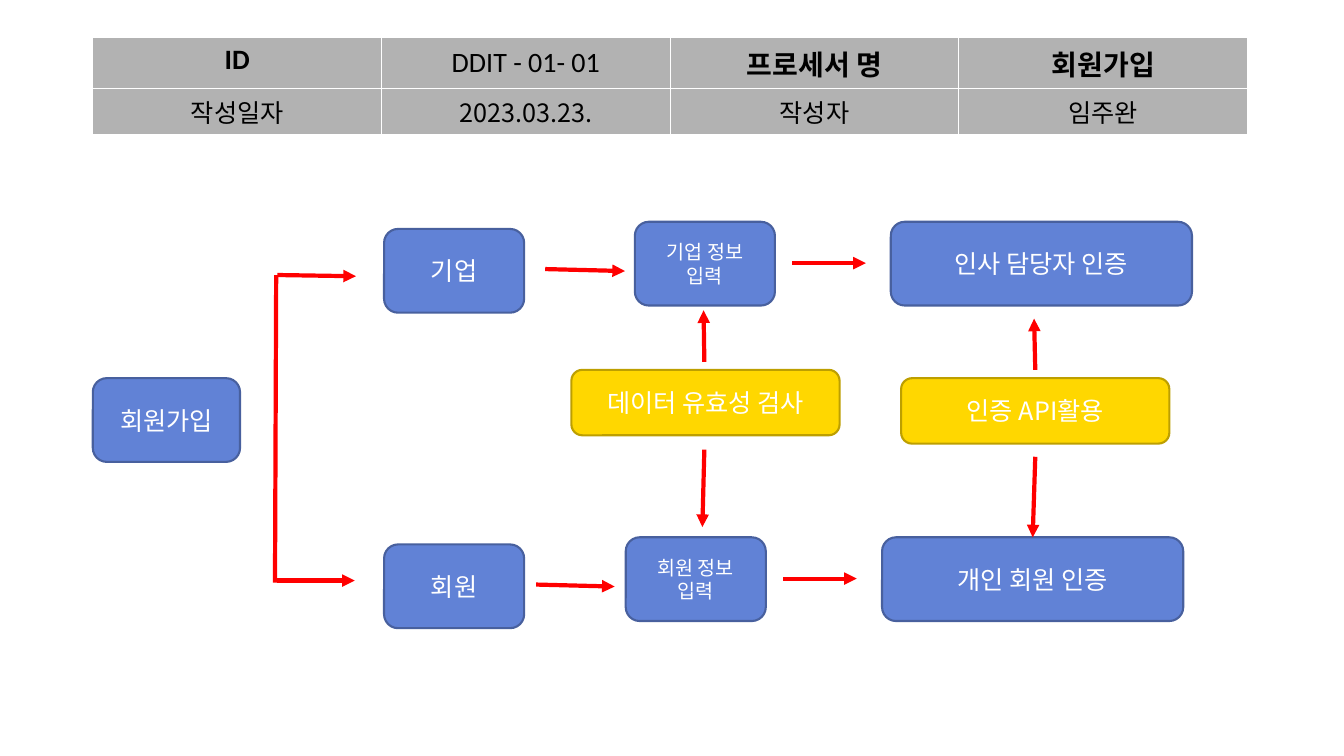
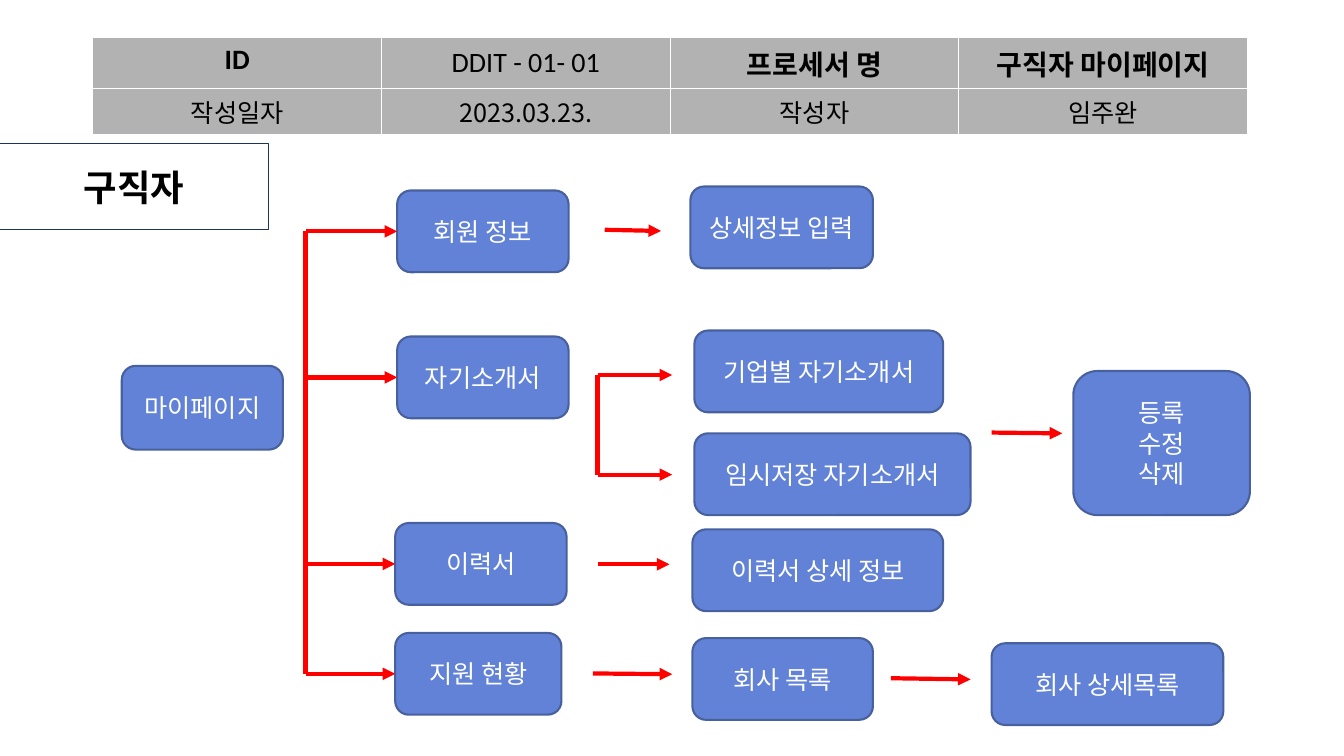
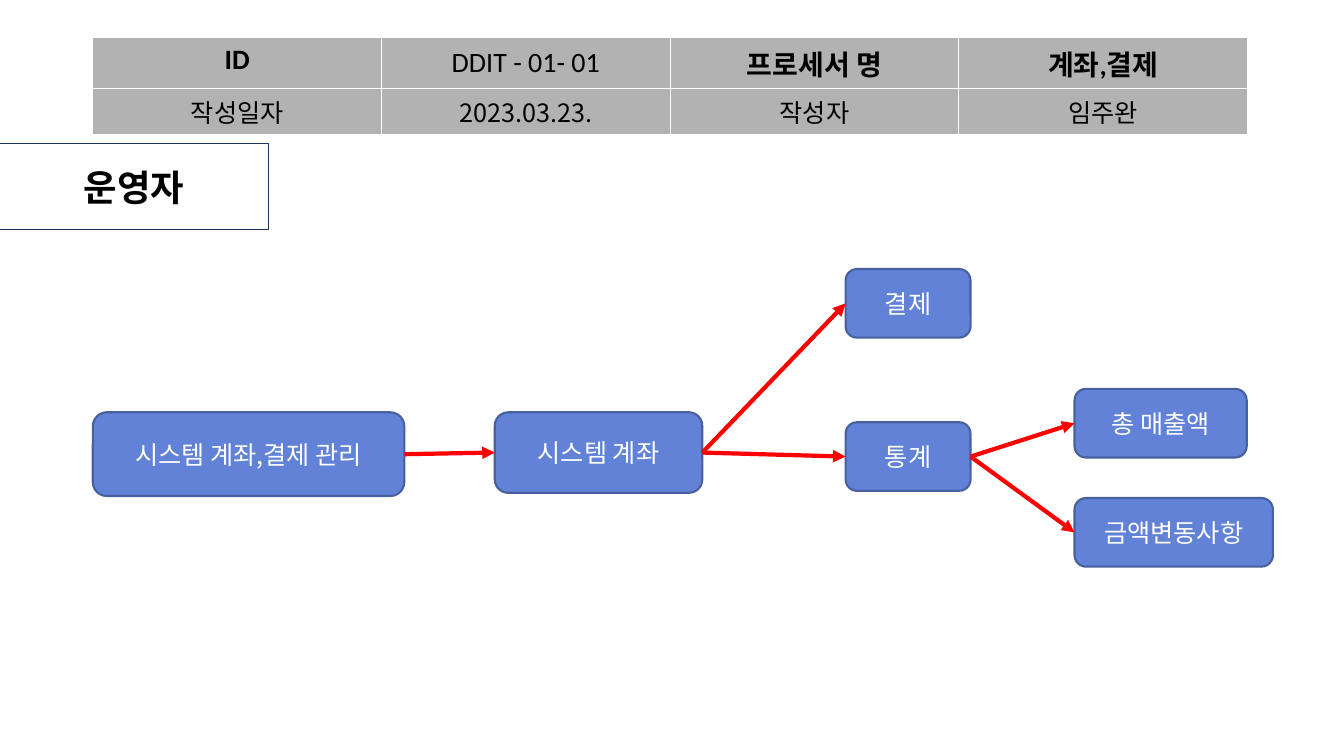
from dataclasses import dataclass
from typing import Any, NamedTuple, Optional, Union

import pptx
import pptx.dml.color
import pptx.enum.shapes
import pptx.enum.text
import pptx.oxml
import pptx.oxml.ns
import pptx.util

Cm = pptx.util.Cm
Pt = pptx.util.Pt
SHAPE = pptx.enum.shapes.MSO_SHAPE
CENTER = pptx.enum.text.PP_ALIGN.CENTER
MIDDLE = pptx.enum.text.MSO_ANCHOR.MIDDLE

COLORS = {
    "white": "FFFFFF",
    "black": "000000",
    "header": "B2B2B2",
    "step": "6182D6",
    "step_line": "48609E",
    "check": "FFD700",
    "check_line": "BD9F00",
    "arrow": "FF0000",
    "label_line": "1C335D",
}
LATIN = "Calibri"
KOREAN = "Noto Sans CJK KR"
TOP, LEFT, BOTTOM, RIGHT = range(4)


@dataclass
class Node:
    text: str
    x: float
    y: float
    w: float
    h: float
    kind: str = "step"
    size: int = 18


class Port(NamedTuple):
    """The middle of one side of the node with this text."""
    node: str
    side: int


class Point(NamedTuple):
    x: float
    y: float


End = Union[Point, Port]


class Link(NamedTuple):
    start: End
    end: End
    head: bool = True


@dataclass
class Process:
    name: str
    nodes: list[Node]
    links: list[Link]
    label: Optional[str] = None


def rgb(name: str) -> pptx.dml.color.RGBColor:
    return pptx.dml.color.RGBColor.from_string(COLORS[name])


def add_run(p: Any, text: str, size: int, color: str,
            font: str = KOREAN, bold: bool = False) -> None:
    p.alignment = CENTER
    r = p.add_run()
    r.text = text
    r.font.size = Pt(size)
    r.font.bold = bold
    r.font.name = font
    r.font.color.rgb = rgb(color)
    ea = pptx.oxml.parse_xml(f'<a:ea {pptx.oxml.ns.nsdecls("a")} typeface="{KOREAN}"/>')
    r.font._element.find(pptx.oxml.ns.qn("a:latin")).addnext(ea)


def add_box(s: Any, shape: Any, box: tuple[float, ...], fill: str, line: str,
            width: float) -> Any:
    sp = s.shapes.add_shape(shape, *map(Cm, box))
    sp.shadow.inherit = False
    sp.fill.solid()
    sp.fill.fore_color.rgb = rgb(fill)
    sp.line.color.rgb = rgb(line)
    sp.line.width = Pt(width)
    sp.text_frame.word_wrap = True
    sp.text_frame.vertical_anchor = MIDDLE
    return sp


def add_node(s: Any, node: Node) -> Any:
    sp = add_box(s, SHAPE.ROUNDED_RECTANGLE, (node.x, node.y, node.w, node.h),
                 node.kind, f"{node.kind}_line", 1.5)
    tf = sp.text_frame
    for i, text in enumerate(node.text.split("\n")):
        p = tf.add_paragraph() if i else tf.paragraphs[0]
        add_run(p, text, node.size, "white")
    return sp


def add_label(s: Any, text: str) -> None:
    sp = add_box(s, SHAPE.RECTANGLE, (0, 3.61, 6.76, 2.18), "white", "label_line", 0)
    add_run(sp.text_frame.paragraphs[0], text, 26, "black", bold=True)


def add_link(s: Any, link: Link, shapes: dict[str, Any]) -> None:
    start, end = (e if isinstance(e, Point) else Point(0, 0) for e in link[:2])
    line = s.shapes.add_connector(pptx.enum.shapes.MSO_CONNECTOR.STRAIGHT,
                                  *map(Cm, (*start, *end)))
    if isinstance(link.start, Port):
        line.begin_connect(shapes[link.start.node], link.start.side)
    if isinstance(link.end, Port):
        line.end_connect(shapes[link.end.node], link.end.side)
    line.line.color.rgb = rgb("arrow")
    line.line.width = Pt(3)
    ns = pptx.oxml.ns.nsdecls("a")
    if link.head:
        line.line._get_or_add_ln().append(
            pptx.oxml.parse_xml(f'<a:tailEnd {ns} type="triangle"/>'))
    line._element.spPr.append(pptx.oxml.parse_xml(f"<a:effectLst {ns}/>"))


def set_borders(cell: Any) -> None:
    tc_pr = cell._tc.get_or_add_tcPr()
    for i, side in enumerate("LRTB"):
        tc_pr.insert(i, pptx.oxml.parse_xml(
            f'<a:ln{side} {pptx.oxml.ns.nsdecls("a")} w="{Pt(1)}"><a:solidFill>'
            f'<a:srgbClr val="{COLORS["white"]}"/></a:solidFill></a:ln{side}>'))


def add_header(s: Any, name: str) -> None:
    rows = [["ID", "DDIT - 01- 01", "프로세서 명", name],
            ["작성일자", "2023.03.23.", "작성자", "임주완"]]
    table = s.shapes.add_table(2, 4, Cm(2.34), Cm(0.95), Cm(29.1), Cm(2.13)).table
    table.first_row = table.horz_banding = False
    for row, height in zip(table.rows, (1.09, 1.04)):
        row.height = Cm(height)
    for i, texts in enumerate(rows):
        for j, text in enumerate(texts):
            cell = table.cell(i, j)
            cell.fill.solid()
            cell.fill.fore_color.rgb = rgb("header")
            set_borders(cell)
            p = cell.text_frame.paragraphs[0]
            if i == 0:
                add_run(p, text, 20, "black", LATIN, bold=j != 1)
            else:
                add_run(p, text, 18, "black")
    number = table.cell(0, 1)
    number.vertical_anchor = MIDDLE
    number.margin_left = number.margin_right = Cm(0)
    number.margin_top = number.margin_bottom = Cm(0)


def add_process(prs: Any, process: Process) -> None:
    s = prs.slides.add_slide(prs.slide_layouts[6])
    add_header(s, process.name)
    if process.label:
        add_label(s, process.label)
    shapes = {node.text: add_node(s, node) for node in process.nodes}
    for link in process.links:
        add_link(s, link, shapes)


SIGN_UP = Process(
    "회원가입",
    [
        Node("회원가입", 2.34, 9.53, 3.71, 2.11),
        Node("기업", 9.68, 5.77, 3.53, 2.11),
        Node("회원", 9.68, 13.72, 3.53, 2.11),
        Node("기업 정보 입력", 16, 5.59, 3.53, 2.11, size=14),
        Node("회원 정보 입력", 15.77, 13.54, 3.53, 2.11, size=14),
        Node("인사 담당자 인증", 22.45, 5.59, 7.59, 2.11),
        Node("개인 회원 인증", 22.23, 13.54, 7.59, 2.11),
        Node("데이터 유효성 검사", 14.4, 9.32, 6.76, 1.65, "check"),
        Node("인증 API활용", 22.71, 9.53, 6.76, 1.65, "check"),
    ],
    [
        Link(Point(6.96, 6.93), Point(6.93, 14.68), head=False),
        Link(Point(6.99, 6.93), Point(8.97, 6.96)),
        Link(Point(6.99, 14.63), Point(8.94, 14.63)),
        Link(Point(13.74, 6.78), Point(15.75, 6.83)),
        Link(Point(13.51, 14.73), Point(15.49, 14.78)),
        Link(Point(19.96, 6.63), Point(21.82, 6.63)),
        Link(Point(19.74, 14.58), Point(21.59, 14.58)),
        Link(Point(17.75, 9.12), Point(17.73, 7.82)),
        Link(Point(17.75, 11.33), Point(17.7, 13.28)),
        Link(Point(26.09, 9.32), Point(26.06, 8.03)),
        Link(Point(26.09, 11.51), Port("개인 회원 인증", TOP)),
    ],
)

MENU = [
    Node("회원 정보", 10.01, 4.8, 4.32, 2.06),
    Node("자기소개서", 10.01, 8.48, 4.32, 2.06),
    Node("이력서", 9.96, 13.18, 4.32, 2.06),
    Node("지원 현황", 9.96, 15.95, 4.19, 2.06),
]
MENU_TRUNK_X = 7.7
MENU_MIDDLES = [node.y + node.h / 2 for node in MENU]

MY_PAGE = Process(
    "구직자 마이페이지",
    [
        Node("마이페이지", 3.07, 9.22, 4.06, 2.11),
        *MENU,
        Node("상세정보 입력", 17.4, 4.7, 4.6, 2.06),
        Node("기업별 자기소개서", 17.5, 8.33, 6.27, 2.06),
        Node("임시저장 자기소개서", 17.5, 10.92, 6.96, 2.06),
        Node("이력서 상세 정보", 17.45, 13.34, 6.32, 2.06),
        Node("회사 목록", 17.45, 16.08, 4.55, 2.06),
        Node("등록\n수정\n삭제", 27.05, 9.35, 4.45, 3.63),
        Node("회사 상세목록", 24.99, 16.21, 5.84, 2.06),
    ],
    [
        Link(Point(MENU_TRUNK_X, MENU_MIDDLES[0]),
             Point(MENU_TRUNK_X, MENU_MIDDLES[-1]), head=False),
        *(Link(Point(MENU_TRUNK_X, y), Port(node.text, LEFT))
          for node, y in zip(MENU, MENU_MIDDLES)),
        Link(Point(15.24, 5.79), Point(16.66, 5.82)),
        Link(Point(15.06, 9.45), Point(15.06, 11.96), head=False),
        Link(Point(15.06, 9.45), Point(16.94, 9.45)),
        Link(Point(15.06, 11.96), Point(16.94, 11.96)),
        Link(Point(24.99, 10.9), Point(26.77, 10.92)),
        Link(Point(15.06, 14.22), Point(16.87, 14.22)),
        Link(Point(14.94, 16.97), Point(16.94, 16.99)),
        Link(Point(22.45, 17.09), Point(24.46, 17.12)),
    ],
    label="구직자",
)

PAYMENT = Process(
    "계좌,결제",
    [
        Node("시스템 계좌,결제 관리", 2.34, 10.39, 7.85, 2.11),
        Node("시스템 계좌", 12.47, 10.39, 5.23, 2.03),
        Node("결제", 21.31, 6.78, 3.15, 1.73),
        Node("통계", 21.31, 10.64, 3.15, 1.73),
        Node("총 매출액", 27.08, 9.8, 4.34, 1.73),
        Node("금액변동사항", 27.08, 12.55, 5, 1.73),
    ],
    [Link(Port(start, RIGHT), Port(end, LEFT)) for start, end in (
        ("시스템 계좌,결제 관리", "시스템 계좌"),
        ("시스템 계좌", "결제"),
        ("시스템 계좌", "통계"),
        ("통계", "총 매출액"),
        ("통계", "금액변동사항"),
    )],
    label="운영자",
)


def main() -> None:
    prs = pptx.Presentation()
    prs.slide_width, prs.slide_height = Cm(33.87), Cm(19.05)
    for process in (SIGN_UP, MY_PAGE, PAYMENT):
        add_process(prs, process)
    prs.save("out.pptx")


if __name__ == "__main__":
    main()
